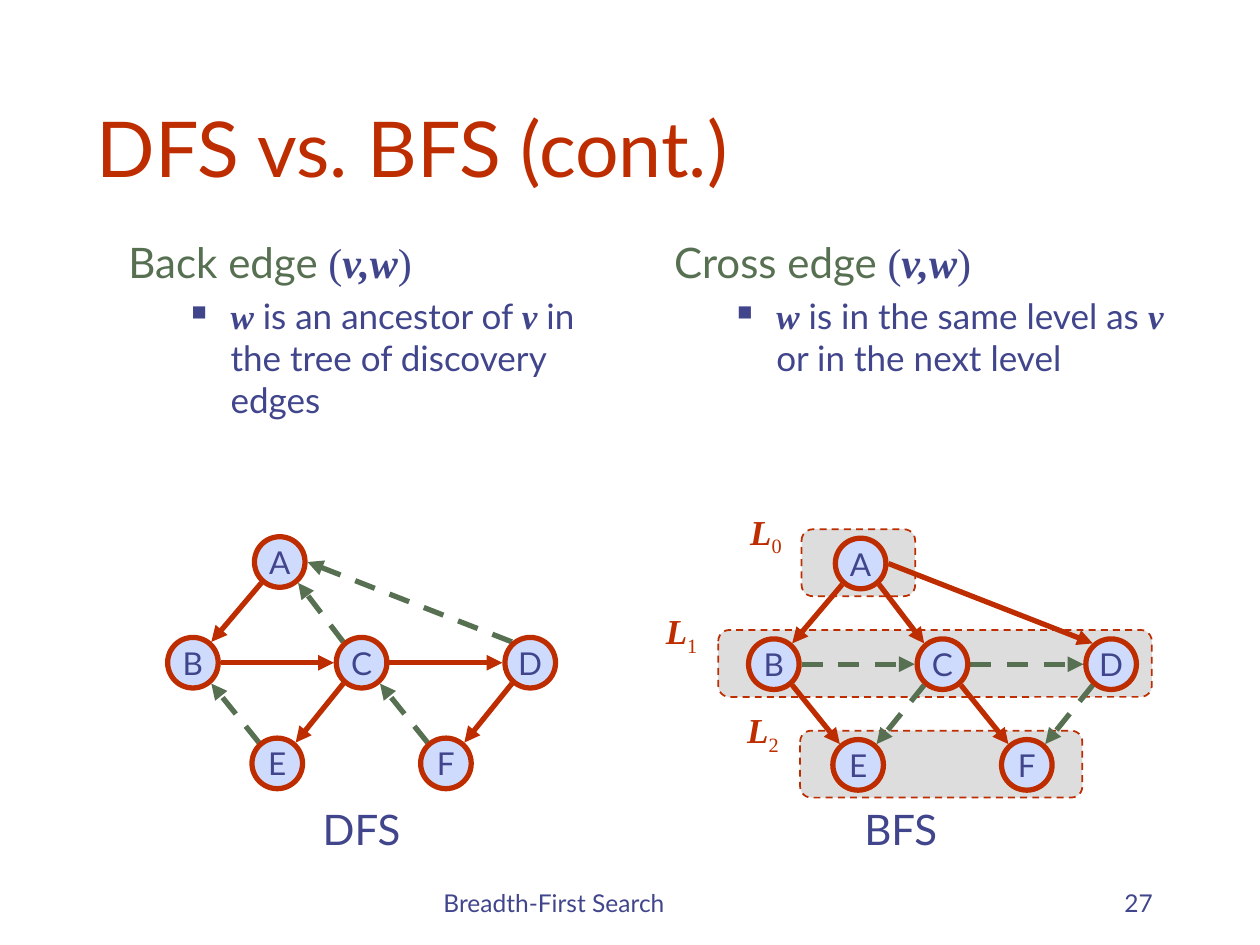
from dataclasses import dataclass

from lxml import etree
from pptx import Presentation
from pptx.dml.color import RGBColor
from pptx.enum.dml import MSO_LINE
from pptx.enum.shapes import MSO_CONNECTOR, MSO_SHAPE
from pptx.enum.text import MSO_ANCHOR, PP_ALIGN
from pptx.oxml.ns import qn
from pptx.util import Cm, Pt

DASH = MSO_LINE.DASH
STRAIGHT = MSO_CONNECTOR.STRAIGHT
OVAL, ROUNDED = MSO_SHAPE.OVAL, MSO_SHAPE.ROUNDED_RECTANGLE
TOP, MIDDLE, BOTTOM = MSO_ANCHOR.TOP, MSO_ANCHOR.MIDDLE, MSO_ANCHOR.BOTTOM
LEFT, CENTER, RIGHT = PP_ALIGN.LEFT, PP_ALIGN.CENTER, PP_ALIGN.RIGHT


@dataclass(frozen=True)
class Theme:
    ink: str = "40458C"
    red: str = "BE2D00"
    green: str = "577052"
    node: str = "CFDBFD"
    band: str = "DDDDDD"
    sans: str = "Lato"
    serif: str = "Times New Roman"
    title: int = 44
    heading: int = 24
    body: int = 20
    label: int = 18
    footer: int = 14
    thick: int = 3
    thin: int = 1


THEME = Theme()


def style(size, color=THEME.ink, name=THEME.sans, strong=False):
    return {"color": color, "format": {
        "name": name, "size": Pt(size), "bold": strong, "italic": strong}}


TITLE = style(THEME.title, THEME.red)
HEADING = style(THEME.heading, THEME.green)
CAPTION = style(THEME.heading)
HEADING_MATH = style(THEME.heading, name=THEME.serif)
HEADING_VARIABLE = style(THEME.heading, name=THEME.serif, strong=True)
BODY = style(THEME.body)
VARIABLE = style(THEME.body, name=THEME.serif, strong=True)
LEVEL = style(THEME.body, THEME.red, THEME.serif, True)
LEVEL_INDEX = style(THEME.body, THEME.red, THEME.serif)
NODE = style(THEME.label)
FOOTER = style(THEME.footer)

NODE_SIZE = 1.02
ROW = 2.03
NODES = {"A": (1.75, 0), "B": (0, ROW), "C": (3.4, ROW), "D": (6.8, ROW),
         "E": (1.7, 2 * ROW), "F": (5.1, 2 * ROW)}
BAND_HEIGHT = 1.35
LEVELS = [(1.07, 2.29, -0.3), (-0.61, 8.74, -2.0), (1.04, 5.69, -0.36)]


def add_spans(para, spans):
    for text, look in spans:
        span = para.add_run()
        span.text = text
        for key, value in look["format"].items():
            setattr(span.font, key, value)
        span.font.color.rgb = RGBColor.from_string(look["color"])


def add_text(page, box, spans, align=LEFT, anchor=TOP):
    frame = page.shapes.add_textbox(*map(Cm, box)).text_frame
    frame.word_wrap = True
    frame.vertical_anchor = anchor
    para = frame.paragraphs[0]
    para.alignment = align
    add_spans(para, spans)
    return frame


def add_bullet(para):
    properties = para._p.get_or_add_pPr()
    properties.set("marL", str(Cm(2.06)))
    properties.set("indent", str(-Cm(0.79)))
    color = etree.SubElement(properties, qn("a:buClr"))
    etree.SubElement(color, qn("a:srgbClr"), val=THEME.ink)
    etree.SubElement(properties, qn("a:buSzPct"), val="60000")
    etree.SubElement(properties, qn("a:buChar"), char="■")


def add_definition(page, box, term, spans):
    frame = add_text(page, box, [(term + " ", HEADING), ("(", HEADING_MATH),
                                 ("v,w", HEADING_VARIABLE), (")", HEADING_MATH)])
    para = frame.add_paragraph()
    para.level = 1
    para.space_before = Pt(4)
    add_bullet(para)
    add_spans(para, spans)


def add_shape(page, kind, box, fill, width):
    shape = page.shapes.add_shape(kind, *map(Cm, box))
    shape.shadow.inherit = False
    shape.fill.solid()
    shape.fill.fore_color.rgb = RGBColor.from_string(fill)
    shape.line.color.rgb = RGBColor.from_string(THEME.red)
    shape.line.width = Pt(width)
    return shape


def add_node(page, left, top, name):
    shape = add_shape(page, OVAL, (left, top, NODE_SIZE, NODE_SIZE),
                      THEME.node, THEME.thick)
    frame = shape.text_frame
    frame.word_wrap = False
    frame.vertical_anchor = MIDDLE
    frame.paragraphs[0].alignment = CENTER
    add_spans(frame.paragraphs[0], [(name, NODE)])


def edge_end(name, other):
    (x, y), (other_x, other_y) = NODES[name], NODES[other]
    across, down = other_x - x, other_y - y
    side = 1 if across > 0 else -1
    center_x, center_y = x + NODE_SIZE / 2, y + NODE_SIZE / 2
    if down >= 0 and abs(across) > 2 * down:
        return center_x + side * 0.56, center_y
    return center_x + side * 0.37, center_y + (0.42 if down > 0 else -0.42)


def add_edge(page, left, top, start, end, color, dashed):
    (x1, y1), (x2, y2) = edge_end(start, end), edge_end(end, start)
    edge = page.shapes.add_connector(
        STRAIGHT, Cm(left + x1), Cm(top + y1), Cm(left + x2), Cm(top + y2))
    edge.line.color.rgb = RGBColor.from_string(color)
    edge.line.width = Pt(THEME.thick)
    if dashed:
        edge.line.dash_style = DASH
    etree.SubElement(edge.line._get_or_add_ln(), qn("a:tailEnd"), type="triangle")
    etree.SubElement(edge._element.spPr, qn("a:effectLst"))


def add_levels(page, left, top):
    for index, (band_left, band_width, label_left) in enumerate(LEVELS):
        band = add_shape(page, ROUNDED, (left + band_left, top - 0.18 + index * ROW,
                                         band_width, BAND_HEIGHT),
                         THEME.band, THEME.thin)
        band.line.dash_style = DASH
        frame = add_text(page, (left + label_left, top - 0.69 + index * 2, 1.3, 1.09),
                         [("L", LEVEL), (str(index), LEVEL_INDEX)], CENTER)
        subscript = frame.paragraphs[0].runs[1]
        subscript._r.get_or_add_rPr().set("baseline", "-25000")


def add_graph(page, left, top, tree_edges, other_edges):
    for edges, color, dashed in ((tree_edges, THEME.red, False),
                                 (other_edges, THEME.green, True)):
        for start, end in edges.split():
            add_edge(page, left, top, start, end, color, dashed)
    for name, (x, y) in NODES.items():
        add_node(page, left + x, top + y, name)


def main():
    deck = Presentation()
    deck.slide_width, deck.slide_height = Cm(25.4), Cm(19.05)
    page = deck.slides.add_slide(deck.slide_layouts[6])

    add_text(page, (1.7, 0.84, 21.59, 3.18), [("DFS vs. BFS (cont.)", TITLE)],
             anchor=BOTTOM)
    add_definition(page, (2.34, 4.65, 10.59, 5.89), "Back edge", [
        ("w ", VARIABLE), ("is an ancestor of ", BODY), ("v", VARIABLE),
        (" in the tree of discovery edges", BODY)])
    add_definition(page, (13.34, 4.65, 10.59, 5.36), "Cross edge", [
        ("w", VARIABLE), (" is in the same level as ", BODY), ("v", VARIABLE),
        (" or in the next level", BODY)])

    add_graph(page, 3.38, 10.82, "AB BC CD CE DF", "EB CA FC DA")
    add_levels(page, 15.09, 10.85)
    add_graph(page, 15.09, 10.85, "AB AC AD BE CF", "BC CD CE DF")
    for left, caption in ((5.08, "DFS"), (15.95, "BFS")):
        add_text(page, (left, 16.08, 4.42, 1.27), [(caption, CAPTION)], CENTER)

    add_text(page, (8.69, 17.35, 8.05, 1.27), [("Breadth-First Search", FOOTER)],
             anchor=BOTTOM)
    add_text(page, (18.21, 17.35, 5.28, 1.27), [("27", FOOTER)], RIGHT, BOTTOM)
    deck.save("out.pptx")


if __name__ == "__main__":
    main()
